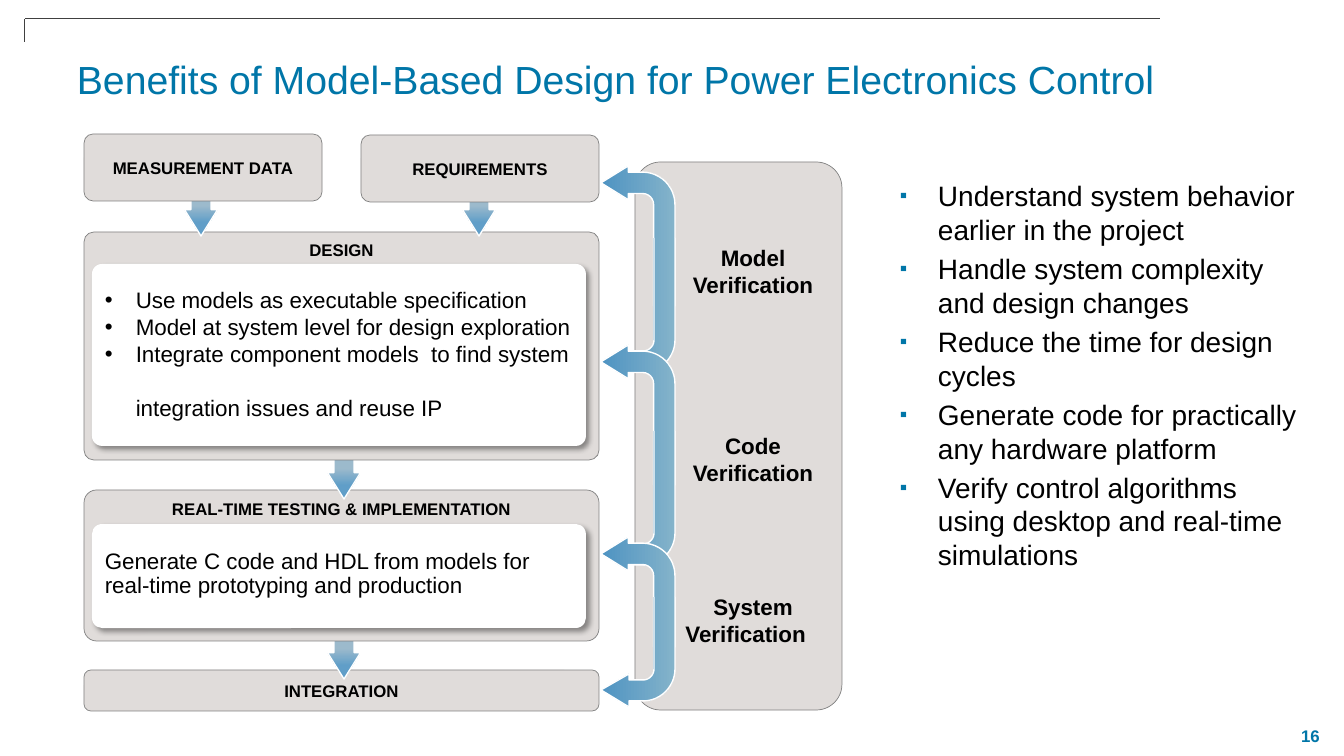
from math import cos, radians, sin

from lxml import etree
from pptx import Presentation
from pptx.dml.color import RGBColor
from pptx.enum.shapes import MSO_CONNECTOR, MSO_SHAPE
from pptx.enum.text import MSO_ANCHOR, PP_ALIGN
from pptx.oxml.ns import qn
from pptx.util import Pt

PX = 914400 / 100.8
ROUNDED, DOUBLE_ARROW = MSO_SHAPE.ROUNDED_RECTANGLE, MSO_SHAPE.LEFT_RIGHT_ARROW
BENT_ARROW, STRAIGHT = MSO_SHAPE.BENT_ARROW, MSO_CONNECTOR.STRAIGHT
LEFT, CENTER = PP_ALIGN.LEFT, PP_ALIGN.CENTER
TOP, MIDDLE = MSO_ANCHOR.TOP, MSO_ANCHOR.MIDDLE
BLUE, BLACK, WHITE, PANEL, EDGE, RULE = "0076A8", "000000", "FFFFFF", "E0DCDA", "808080", "404040"

# Content
TITLE = "Benefits of Model-Based Design for Power Electronics Control"
BENEFITS = [
    "Understand system behavior earlier in the project",
    "Handle system complexity and design changes",
    "Reduce the time for design cycles",
    "Generate code for practically any hardware platform",
    "Verify control algorithms using desktop and real-time simulations",
]
DESIGN_POINTS = [
    "Use models as executable specification",
    "Model at system level for design exploration",
    "Integrate component models  to find system \vintegration issues and reuse IP",
]
TESTING_TEXT = ["Generate C code and HDL from models for real-time prototyping and production"]
VERIFICATIONS = ["Model Verification", "Code Verification", "System Verification\t"]
VERIFICATION_GAPS = [0, 96, 77]
# Stages: label, box (left, top, width, height), corner, anchor
INTEGRATION = ("INTEGRATION", (84, 670, 515, 41), 0.167, MIDDLE)
TESTING = ("REAL-TIME TESTING & IMPLEMENTATION", (84, 490, 515, 151), 0.083, TOP)
DESIGN = ("DESIGN", (84, 232, 515, 228), 0.043, TOP)
REQUIREMENTS = ("REQUIREMENTS", (361, 135, 238, 67), 0.135, MIDDLE)
MEASUREMENT = ("MEASUREMENT DATA", (84, 134, 238, 67), 0.135, MIDDLE)
# Feedback loops: top of upper half, bottom of lower half, height of each half
LOOPS = [(166, 378, 140), (345, 571, 140), (537, 707, 110)]

deck = Presentation()
deck.slide_width, deck.slide_height = round(1344 * PX), round(756 * PX)
page = deck.slides.add_slide(deck.slide_layouts[6])


def color(value):
    return RGBColor.from_string(value)


def px(*lengths):
    return [round(length * PX) for length in lengths]


def write(box, texts, size, ink=BLACK, bold=False, align=LEFT, anchor=TOP,
          bullet=None, indent=(0, 0), gaps=None, spacing=None):
    frame = box.text_frame
    frame.word_wrap = True
    frame.vertical_anchor = anchor
    for index, text in enumerate(texts):
        para = frame.add_paragraph() if index else frame.paragraphs[0]
        para.text = text
        para.alignment = align
        properties = para._p.get_or_add_pPr()
        for name, length in zip(("marL", "indent"), px(*indent)):
            properties.set(name, str(length))
        if bullet:
            mark, ink_of_mark, percent = bullet
            tint = etree.SubElement(properties, qn("a:buClr"))
            etree.SubElement(tint, qn("a:srgbClr"), val=ink_of_mark)
            etree.SubElement(properties, qn("a:buSzPct"), val=str(percent * 1000))
            etree.SubElement(properties, qn("a:buFont"), typeface="Arial")
            etree.SubElement(properties, qn("a:buChar"), char=mark)
        if gaps and index:
            para.space_before = Pt(gaps[index])
        if spacing:
            para.line_spacing = spacing
        for line_break in para._p.findall(qn("a:br")):
            etree.SubElement(line_break, qn("a:rPr"), sz=str(size * 100))
        for span in para.runs:
            span.font.name, span.font.size, span.font.bold = "Arial", Pt(size), bold
            span.font.color.rgb = color(ink)


def add_text(area, texts, size, **style):
    write(page.shapes.add_textbox(*px(*area)), texts, size, **style)


def outline(shape, ink, width):
    shape.shadow.inherit = False
    shape.line.color.rgb = color(ink)
    shape.line.width = Pt(width)


def shade(shape, stops, angle):
    shape.fill.gradient()
    shape.fill.gradient_angle = angle
    for stop, (position, tint) in zip(shape.fill.gradient_stops, stops):
        stop.position, stop.color.rgb = position, color(tint)
    outline(shape, WHITE, 1)


def add_panel(area, corner, fill=PANEL):
    panel = page.shapes.add_shape(ROUNDED, *px(*area))
    panel.adjustments[0] = corner
    panel.fill.solid()
    panel.fill.fore_color.rgb = color(fill)
    outline(panel, EDGE, 0.5)
    return panel


def add_stage(label, area, corner, anchor):
    write(add_panel(area, corner), [label], 12, bold=True, align=CENTER, anchor=anchor)


def add_card(area, corner, texts, **style):
    card = add_panel(area, corner, WHITE)
    card.line.fill.background()
    effects = card._element.spPr.find(qn("a:effectLst"))
    shadow = etree.SubElement(effects, qn("a:outerShdw"), blurRad=str(Pt(4)), dist=str(Pt(3)),
                              dir="2700000", algn="tl", rotWithShape="0")
    tint = etree.SubElement(shadow, qn("a:srgbClr"), val=BLACK)
    etree.SubElement(tint, qn("a:alpha"), val="40000")
    card.text_frame.margin_top = px(2)[0]
    write(card, texts, 16, anchor=MIDDLE, **style)


def add_down_arrow(center, middle):
    arrow = page.shapes.add_shape(DOUBLE_ARROW, *px(center - 38, middle - 16.5, 76, 33))
    arrow.rotation = 90
    arrow.adjustments[0], arrow.adjustments[1] = 0.614, 0.798
    shade(arrow, [(0.6, "9CBACC"), (0.82, "609EC8")], 0)


def arc(x, y, radius):
    return [(x + radius * cos(radians(turn)), y + radius * sin(radians(turn)))
            for turn in range(0, 91, 6)]


def add_loop(top, bottom, height):
    stops = [(0, "4E93C2"), (1, "84B3CA")]
    # Upper half
    upper = page.shapes.add_shape(BENT_ARROW, *px(601, top, 74, height))
    upper._element.spPr.find(qn("a:xfrm")).set("flipH", "1")
    for index, value in enumerate((0.289, 0.228, 0.368, 0.438)):
        upper.adjustments[index] = value
    shade(upper, stops, 180)
    # Lower half, open at its top so the two stems join
    head = [(629, bottom - 6), (629, bottom), (601, bottom - 17),
            (629, bottom - 33), (629, bottom - 27)]
    points = [(675, bottom - height), *arc(643, bottom - 38, 32), *head,
              *reversed(arc(643, bottom - 38, 11)), (654, bottom - height)]
    start, *rest = [px(*point) for point in points]
    builder = page.shapes.build_freeform(*start)
    builder.add_line_segments(rest, close=False)
    shade(builder.convert_to_shape(), stops, 0)


# Page furniture and texts
for ends in [(25, 19, 1160, 19), (25, 19, 25, 42)]:
    rule = page.shapes.add_connector(STRAIGHT, *px(*ends))
    rule.line.color.rgb = color(RULE)
    rule.line.width = Pt(0.75)
    etree.SubElement(rule._element.spPr, qn("a:effectLst"))
add_text((1277, 715, 67, 42), ["16"], 12, ink=BLUE, bold=True, align=CENTER, anchor=MIDDLE)
add_text((67, 50, 1187, 109), [TITLE], 28, ink=BLUE)
add_text((890, 174, 428, 548), BENEFITS, 20, bullet=("▪", BLUE, 75), indent=(38, -38),
         gaps=[4] * len(BENEFITS))

# Workflow, back to front
add_stage(*INTEGRATION)
add_down_arrow(344, 641)
add_stage(*TESTING)
add_down_arrow(344, 461)
add_panel((635, 162, 207, 548), 0.124)
add_stage(*DESIGN)
add_card((92, 264, 494, 182), 0.055, DESIGN_POINTS, bullet=("•", BLACK, 100), indent=(31, -31))
for loop in LOOPS:
    add_loop(*loop)
add_card((92, 524, 494, 104), 0.097, TESTING_TEXT, spacing=0.9)
add_text((656, 239, 181, 445), VERIFICATIONS, 16, bold=True, align=CENTER,
         indent=(13, 0), gaps=VERIFICATION_GAPS)
for center, stage in [(479, REQUIREMENTS), (201, MEASUREMENT)]:
    add_down_arrow(center, 198)
    add_stage(*stage)

deck.save("out.pptx")
